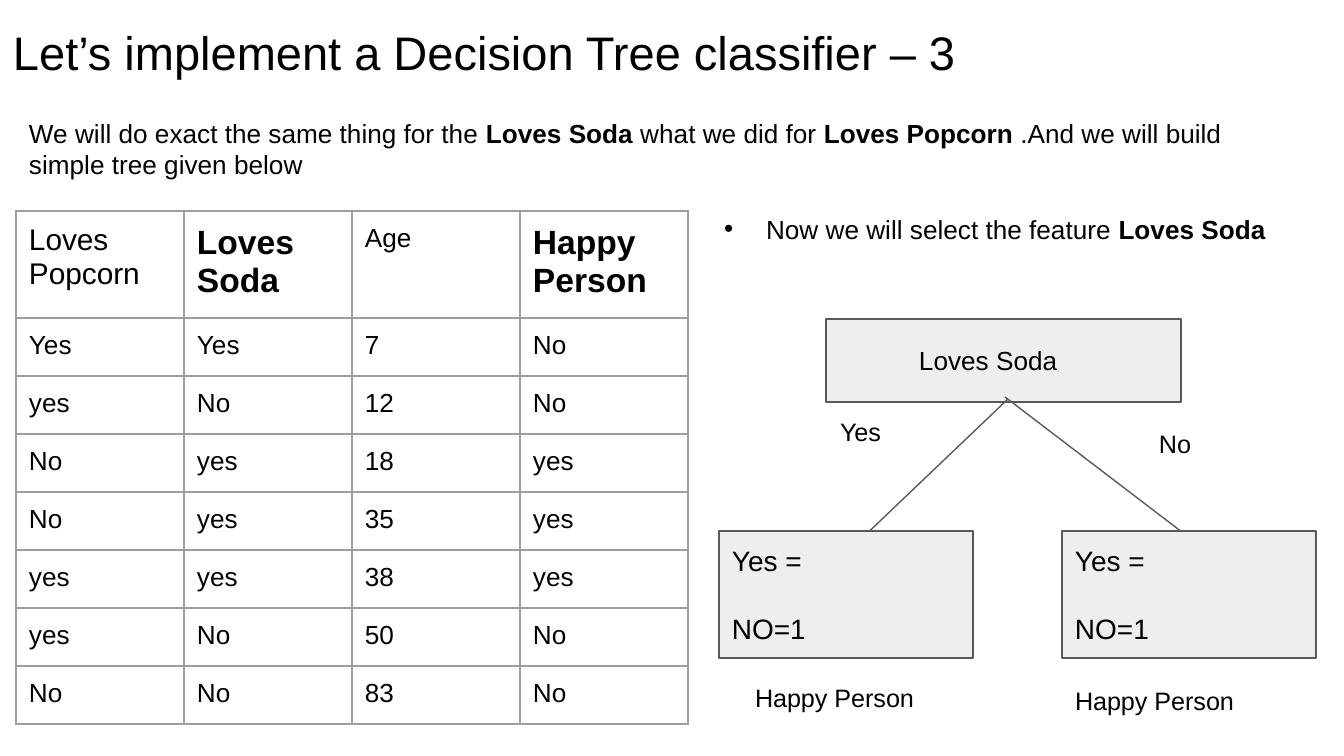
from lxml import etree
from pptx import Presentation
from pptx.dml.color import RGBColor
from pptx.enum.shapes import MSO_CONNECTOR, MSO_SHAPE
from pptx.enum.text import MSO_ANCHOR
from pptx.oxml.ns import qn
from pptx.util import Emu, Pt

RECT = MSO_SHAPE.RECTANGLE
STRAIGHT = MSO_CONNECTOR.STRAIGHT
TOP, MIDDLE, BOTTOM = MSO_ANCHOR.TOP, MSO_ANCHOR.MIDDLE, MSO_ANCHOR.BOTTOM
EMU_PER_PX = 914400 / 134.4
FONT = "Arial"
BLACK, GREY, PALE, BORDER = "000000", "595959", "EEEEEE", "9E9E9E"
INSET = 13

HEADER = [("Loves Popcorn", 16, False), ("Loves Soda", 18, True),
          ("Age", 14, False), ("Happy Person", 18, True)]
PEOPLE = [
    ("Yes", "Yes", "7", "No"),
    ("yes", "No", "12", "No"),
    ("No", "yes", "18", "yes"),
    ("No", "yes", "35", "yes"),
    ("yes", "yes", "38", "yes"),
    ("yes", "No", "50", "No"),
    ("No", "No", "83", "No"),
]


def px(n):
    """Turn pixels into EMU."""
    return Emu(round(n * EMU_PER_PX))


def color(value):
    """Turn a hex string into a colour."""
    return RGBColor.from_string(value)


def set_attrs(obj, values):
    """Set each attribute named in a dict."""
    for name, value in values.items():
        setattr(obj, name, value)


def add_runs(p, runs, size):
    """Add (text, bold) runs to a paragraph."""
    for text, bold in runs:
        r = p.add_run()
        r.text = text
        set_attrs(r.font, {"name": FONT, "size": Pt(size), "bold": bold})
        r.font.color.rgb = color(BLACK)


def set_frame(tf, anchor):
    """Give a text frame wrapping, anchor and equal insets."""
    set_attrs(tf, {"word_wrap": True, "vertical_anchor": anchor,
                   "margin_left": px(INSET), "margin_right": px(INSET),
                   "margin_top": px(INSET), "margin_bottom": px(INSET)})


def add_text(s, box, runs, size, anchor=TOP, spacing=None):
    """Add a one-paragraph text box and return the paragraph."""
    tf = s.shapes.add_textbox(*map(px, box)).text_frame
    set_frame(tf, anchor)
    p = tf.paragraphs[0]
    p.line_spacing = spacing
    add_runs(p, runs, size)
    return p


def set_indent(p, left, first):
    """Set the left margin and first-line indent of a paragraph."""
    pPr = p._p.get_or_add_pPr()
    pPr.set("marL", str(px(left)))
    pPr.set("indent", str(px(first)))
    return pPr


def add_bullet(p, indent):
    """Give a paragraph a hanging round bullet."""
    pPr = set_indent(p, indent, -indent)
    clr = etree.SubElement(pPr, qn("a:buClr"))
    etree.SubElement(clr, qn("a:srgbClr"), val=BLACK)
    etree.SubElement(pPr, qn("a:buFont"), typeface=FONT)
    etree.SubElement(pPr, qn("a:buChar"), char="•")


def add_node(s, box, lines, size, anchor=TOP, indent=0):
    """Add a tree node with one paragraph per line."""
    sp = s.shapes.add_shape(RECT, *map(px, box))
    sp.shadow.inherit = False
    sp.fill.solid()
    sp.fill.fore_color.rgb = color(PALE)
    sp.line.color.rgb = color(GREY)
    sp.line.width = Pt(0.75)
    tf = sp.text_frame
    set_frame(tf, anchor)
    for i, line in enumerate(lines):
        p = tf.add_paragraph() if i else tf.paragraphs[0]
        set_indent(p, indent, 0)
        p.alignment = 1
        if i:
            p.space_before = Pt(18)
        add_runs(p, [(line, False)], size)


def add_branch(s, start, end):
    """Add an arrow between two points."""
    cx = s.shapes.add_connector(STRAIGHT, *map(px, start + end))
    cx.line.color.rgb = color(GREY)
    cx.line.width = Pt(0.75)
    etree.SubElement(cx.line._get_or_add_ln(), qn("a:tailEnd"), type="triangle")
    etree.SubElement(cx._element.spPr, qn("a:effectLst"))


def set_borders(cell):
    """Draw all four borders of a cell."""
    tcPr = cell._tc.get_or_add_tcPr()
    for i, side in enumerate(("lnL", "lnR", "lnT", "lnB")):
        ln = etree.Element(qn("a:" + side), w=str(Pt(0.75)))
        fill = etree.SubElement(ln, qn("a:solidFill"))
        etree.SubElement(fill, qn("a:srgbClr"), val=BORDER)
        tcPr.insert(i, ln)


def add_people_table(s):
    """Add the table of people and their answers."""
    rows = [HEADER] + [[(t, 14, False) for t in row] for row in PEOPLE]
    heights = [107] + [58] * len(PEOPLE)
    box = (16, 211, 168 * len(HEADER), sum(heights))
    table = s.shapes.add_table(len(rows), len(HEADER), *map(px, box)).table
    set_attrs(table, {"first_row": False, "horz_banding": False})
    for col in table.columns:
        col.width = px(168)
    for i, row in enumerate(rows):
        table.rows[i].height = px(heights[i])
        for j, (text, size, bold) in enumerate(row):
            cell = table.cell(i, j)
            set_attrs(cell, {"margin_left": px(INSET), "margin_right": px(INSET),
                             "margin_top": px(INSET), "margin_bottom": px(INSET)})
            cell.fill.background()
            set_borders(cell)
            add_runs(cell.text_frame.paragraphs[0], [(text, bold)], size)


def add_tree(s):
    """Add the decision tree with its branch and leaf labels."""
    add_node(s, (826, 319, 355, 83), ["Loves Soda"], 14, MIDDLE, indent=80)
    add_branch(s, (1008, 399), (857, 543))
    add_branch(s, (1005, 397), (1195, 542))
    for left in (719, 1062):
        add_node(s, (left, 531, 254, 127), ["Yes =", "NO=1"], 15)
    for box, text in [((827, 410, 97, 51), "Yes"),
                      ((1146, 422, 87, 51), "No"),
                      ((742, 676, 266, 51), "Happy Person"),
                      ((1062, 679, 266, 46), "Happy Person")]:
        add_text(s, box, [(text, False)], 13.5, spacing=0.8)


def main():
    """Build the slide and save it."""
    prs = Presentation()
    prs.slide_width, prs.slide_height = px(1344), px(756)
    s = prs.slides.add_slide(prs.slide_layouts[6])
    add_text(s, (0, 8, 1253, 85),
             [("Let’s implement a Decision Tree classifier – 3", False)],
             25.2, BOTTOM)
    add_text(s, (16, 104, 1270, 97),
             [("We will do exact the same thing for the ", False),
              ("Loves Soda", True), (" what we did for ", False),
              ("Loves Popcorn", True),
              (" .And we will build simple tree given below", False)], 14)
    add_people_table(s)
    add_tree(s)
    p = add_text(s, (711, 200, 586, 59),
                 [("Now we will select the feature ", False),
                  ("Loves Soda", True)], 14)
    add_bullet(p, 42)
    prs.save("out.pptx")


if __name__ == "__main__":
    main()
